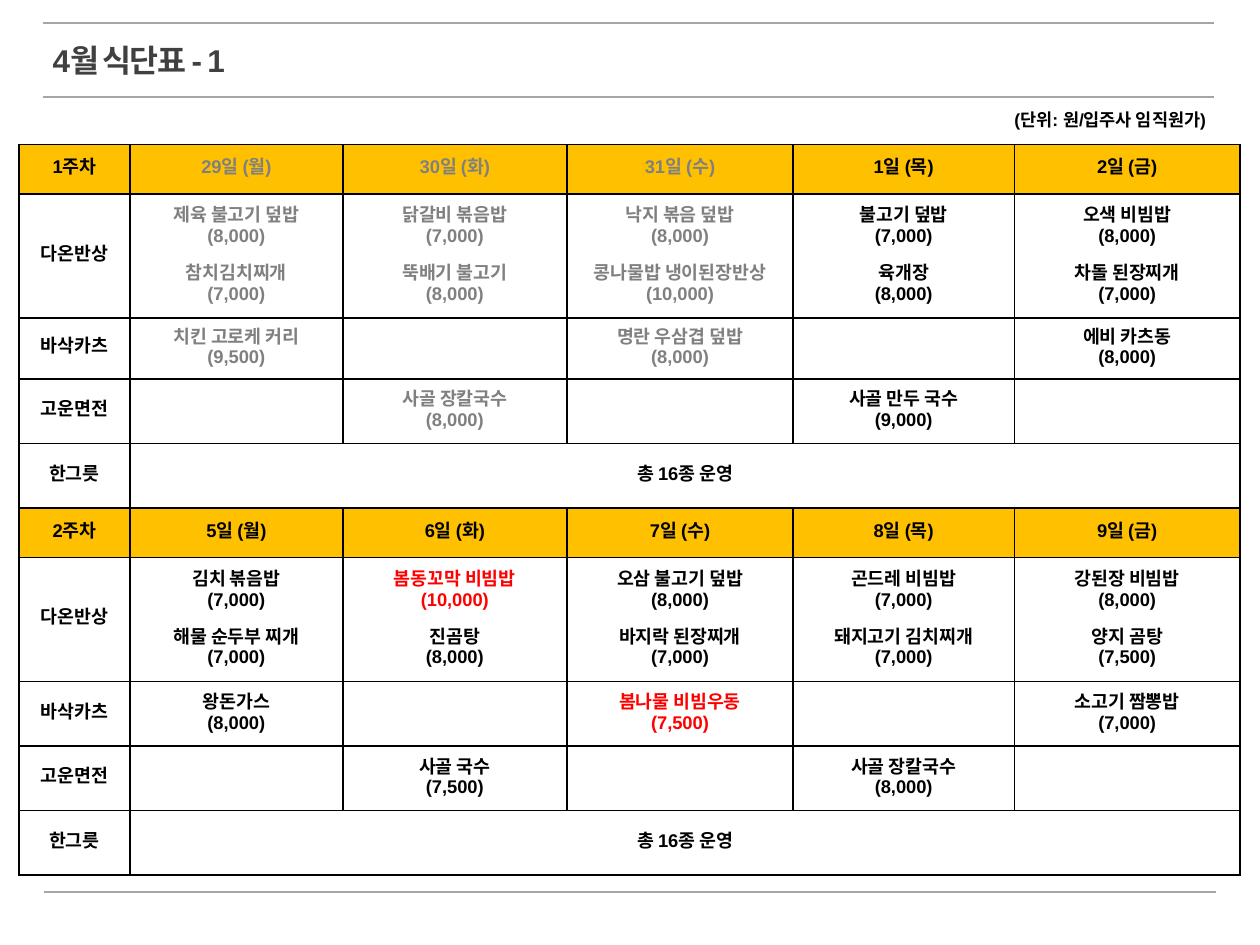
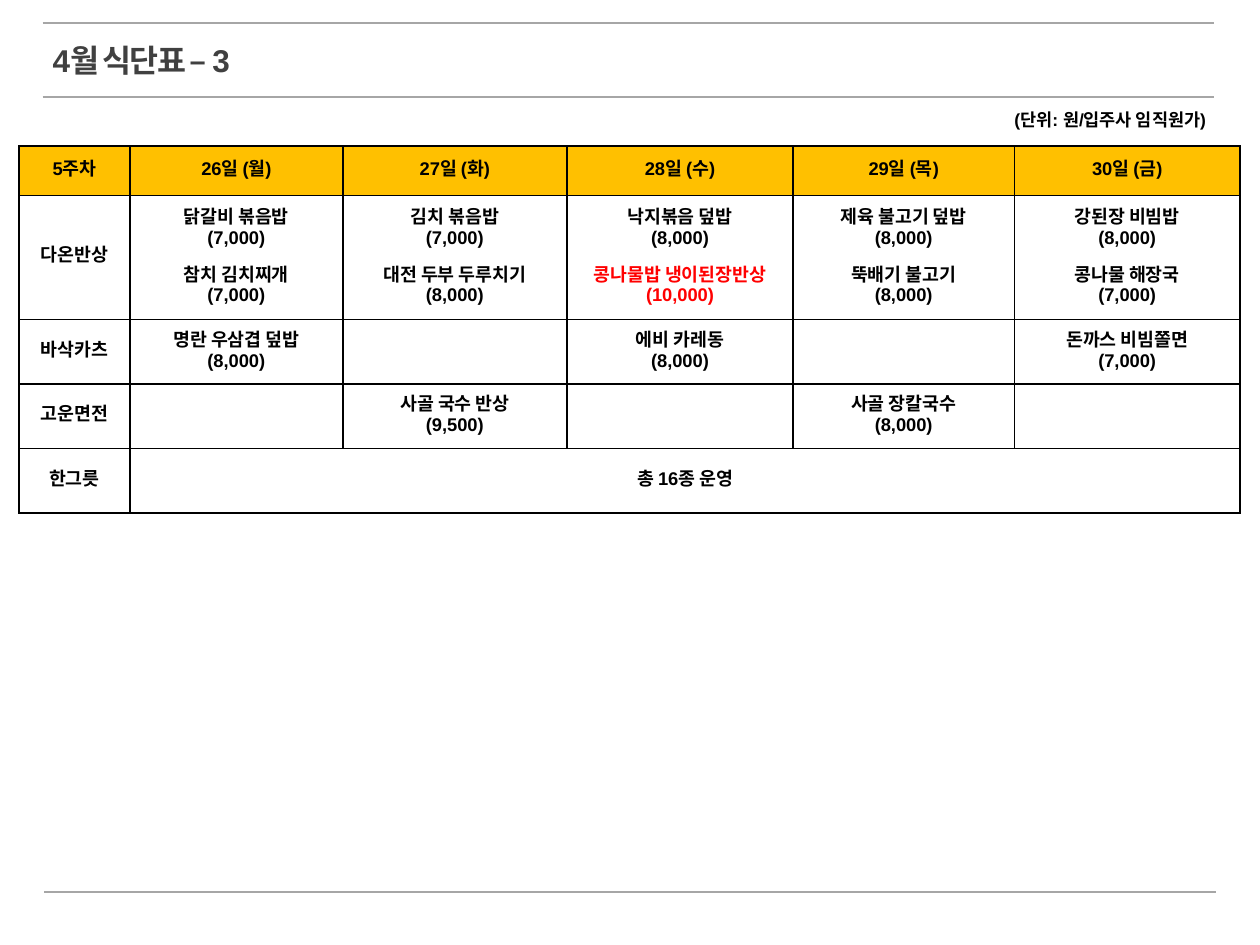
from lxml.etree import SubElement
from pptx import Presentation
from pptx.dml.color import RGBColor
from pptx.enum.shapes import MSO_CONNECTOR
from pptx.enum.text import MSO_ANCHOR, PP_ALIGN
from pptx.oxml.ns import qn
from pptx.util import Cm, Pt

FONT = "Arial"
BLACK, WHITE, RED = "000000", "FFFFFF", "FF0000"
TITLE_GREY, MUTED_GREY, RULE_GREY = "404040", "808080", "A6A6A6"
HEADER_YELLOW = "FFC000"

WEEKDAYS = "월화수목금"
KITCHENS = ["다온반상", "바삭카츠", "고운면전"]
BUFFET, BUFFET_NOTE = "한그릇", "총 16종 운영"
COLUMN_WIDTHS = [2.24, 4.29, 4.52, 4.56, 4.46, 4.55]
ROW_HEIGHTS = [1, 2.5, 1.3, 1.3, 1.3]

WEEK_1 = {
    "number": 1, "dates": [29, 30, 31, 1, 2], "muted_days": 3,
    "heights": [1, 2.5, 1.23, 1.3, 1.3],
    "menu": [
        ["제육 불고기 덮밥 8,000/참치김치찌개 7,000", "닭갈비 볶음밥 7,000/뚝배기 불고기 8,000",
         "낙지 볶음 덮밥 8,000/콩나물밥 냉이된장반상 10,000", "불고기 덮밥 7,000/육개장 8,000",
         "오색 비빔밥 8,000/차돌 된장찌개 7,000"],
        ["치킨 고로케 커리 9,500", "", "명란 우삼겹 덮밥 8,000", "", "에비 카츠동 8,000"],
        ["", "사골 장칼국수 8,000", "", "사골 만두 국수 9,000", ""],
    ],
}
WEEK_2 = {
    "number": 2, "dates": [5, 6, 7, 8, 9], "muted_days": 0, "heights": ROW_HEIGHTS,
    "menu": [
        ["김치 볶음밥 7,000/해물 순두부 찌개 7,000", "*봄동꼬막 비빔밥 10,000/진곰탕 8,000",
         "오삼 불고기 덮밥 8,000/바지락 된장찌개 7,000", "곤드레 비빔밥 7,000/돼지고기 김치찌개 7,000",
         "강된장 비빔밥 8,000/양지 곰탕 7,500"],
        ["왕돈가스 8,000", "", "*봄나물 비빔우동 7,500", "", "소고기 짬뽕밥 7,000"],
        ["", "사골 국수 7,500", "", "사골 장칼국수 8,000", ""],
    ],
}
WEEK_5 = {
    "number": 5, "dates": [26, 27, 28, 29, 30], "muted_days": 0, "heights": ROW_HEIGHTS,
    "menu": [
        ["닭갈비 볶음밥 7,000/참치 김치찌개 7,000", "김치 볶음밥 7,000/대전 두부 두루치기 8,000",
         "낙지볶음 덮밥 8,000/*콩나물밥 냉이된장반상 10,000", "제육 불고기 덮밥 8,000/뚝배기 불고기 8,000",
         "강된장 비빔밥 8,000/콩나물 해장국 7,000"],
        ["명란 우삼겹 덮밥 8,000", "", "에비 카레동 8,000", "", "돈까스 비빔쫄면 7,000"],
        ["", "사골 국수 반상 9,500", "", "사골 장칼국수 8,000", ""],
    ],
}


def color(value):
    """Turn a hex string into a colour."""
    return RGBColor.from_string(value)


class MenuDeck:
    """Hold the shared style and the current slide."""

    def __init__(self):
        """Start a 4:3 presentation."""
        self.presentation = Presentation()
        self.presentation.slide_width = Cm(25.4)
        self.presentation.slide_height = Cm(19.05)
        self.slide = None

    def add_slide(self, title, table_top, weeks):
        """Add one menu slide with its frame, title, table and unit note."""
        layout = self.presentation.slide_layouts[6]
        self.slide = self.presentation.slides.add_slide(layout)
        for left, top in [(0.86, 0.46), (0.86, 1.96), (0.89, 17.98)]:
            self.rule(left, top, 23.62)
        self.text((0.81, 0.71, 13.31, 1.02), title, 18, TITLE_GREY, spacing=-1)
        self.table(0.38, table_top, weeks)
        self.text((17.78, 2.08, 6.78, 0.69), "(단위: 원/입주사 임직원가)", 10, BLACK, PP_ALIGN.RIGHT)

    def rule(self, left, top, width):
        """Draw a thin horizontal line."""
        line = self.slide.shapes.add_connector(
            MSO_CONNECTOR.STRAIGHT, Cm(left), Cm(top), Cm(left + width), Cm(top))
        line.line.color.rgb = color(RULE_GREY)
        line.line.width = Pt(1)
        SubElement(line._element.spPr, qn("a:effectLst"))

    def text(self, box, content, size, ink, alignment=PP_ALIGN.LEFT, spacing=0):
        """Add a one-line text box."""
        shape = self.slide.shapes.add_textbox(*map(Cm, box))
        shape.text_frame.word_wrap = True
        shape.text_frame.text = content
        paragraph = shape.text_frame.paragraphs[0]
        paragraph.alignment = alignment
        self.format_runs(paragraph, size, ink, spacing)

    def format_runs(self, paragraph, size, ink, spacing=0):
        """Apply the bold deck font to a paragraph."""
        for run in paragraph.runs:
            run.font.name = FONT
            run.font.size = Pt(size)
            run.font.bold = True
            run.font.color.rgb = color(ink)
            if spacing:
                run._r.get_or_add_rPr().set("spc", str(spacing * 100))

    def table(self, left, top, weeks):
        """Add a table that stacks the given weeks."""
        heights = [height for week in weeks for height in week["heights"]]
        table = self.slide.shapes.add_table(
            len(heights), len(COLUMN_WIDTHS), Cm(left), Cm(top),
            Cm(sum(COLUMN_WIDTHS)), Cm(sum(heights))).table
        for column, width in zip(table.columns, COLUMN_WIDTHS):
            column.width = Cm(width)
        for row, height in zip(table.rows, heights):
            row.height = Cm(height)
        for index, week in enumerate(weeks):
            self.week(table, index * len(ROW_HEIGHTS), week)

    def week(self, table, first_row, week):
        """Fill the header, kitchen and buffet rows of one week."""
        inks = [MUTED_GREY if day < week["muted_days"] else BLACK for day in range(5)]
        self.cell(table.cell(first_row, 0), [(f"{week['number']}주차", BLACK)], HEADER_YELLOW)
        for column, (date, weekday, ink) in enumerate(zip(week["dates"], WEEKDAYS, inks), 1):
            self.cell(table.cell(first_row, column), [(f"{date}일 ({weekday})", ink)], HEADER_YELLOW)
        for row, (kitchen, meals) in enumerate(zip(KITCHENS, week["menu"]), first_row + 1):
            self.cell(table.cell(row, 0), [(kitchen, BLACK)])
            for column, (meal, ink) in enumerate(zip(meals, inks), 1):
                self.cell(table.cell(row, column), self.meal_lines(meal, ink))
        last_row = first_row + len(ROW_HEIGHTS) - 1
        self.cell(table.cell(last_row, 0), [(BUFFET, BLACK)])
        for column in range(1, 6):
            self.cell(table.cell(last_row, column), [(BUFFET_NOTE, BLACK)] if column == 1 else [])
        table.cell(last_row, 1).merge(table.cell(last_row, 5))

    def meal_lines(self, meal, ink):
        """Split a meal into name and price lines; a star marks a red dish."""
        lines = []
        for dish in filter(None, meal.split("/")):
            name, price = dish.rsplit(" ", 1)
            dish_ink = RED if name.startswith("*") else ink
            lines += [(name.lstrip("*"), dish_ink), (f"({price})", dish_ink)]
        return lines

    def cell(self, cell, lines, fill=WHITE):
        """Fill one bordered cell with centred lines."""
        self.borders(cell)
        cell.fill.solid()
        cell.fill.fore_color.rgb = color(fill)
        cell.vertical_anchor = MSO_ANCHOR.MIDDLE
        cell.text_frame.text = "\n".join(content for content, _ in lines)
        for index, (paragraph, (_, ink)) in enumerate(zip(cell.text_frame.paragraphs, lines)):
            paragraph.alignment = PP_ALIGN.CENTER
            paragraph.line_spacing = Pt(11)
            if index == 2:
                paragraph.space_before = Pt(11)
            self.format_runs(paragraph, 10.5, ink)

    def borders(self, cell):
        """Draw a black line on each side of a cell."""
        properties = cell._tc.get_or_add_tcPr()
        for side in "LRTB":
            line = SubElement(properties, qn(f"a:ln{side}"), w=str(Pt(1)))
            solid = SubElement(line, qn("a:solidFill"))
            SubElement(solid, qn("a:srgbClr"), val=BLACK)


deck = MenuDeck()
deck.add_slide("4월 식단표 - 1", 2.91, [WEEK_1, WEEK_2])
deck.add_slide("4월 식단표 – 3", 2.94, [WEEK_5])
deck.presentation.save("out.pptx")
